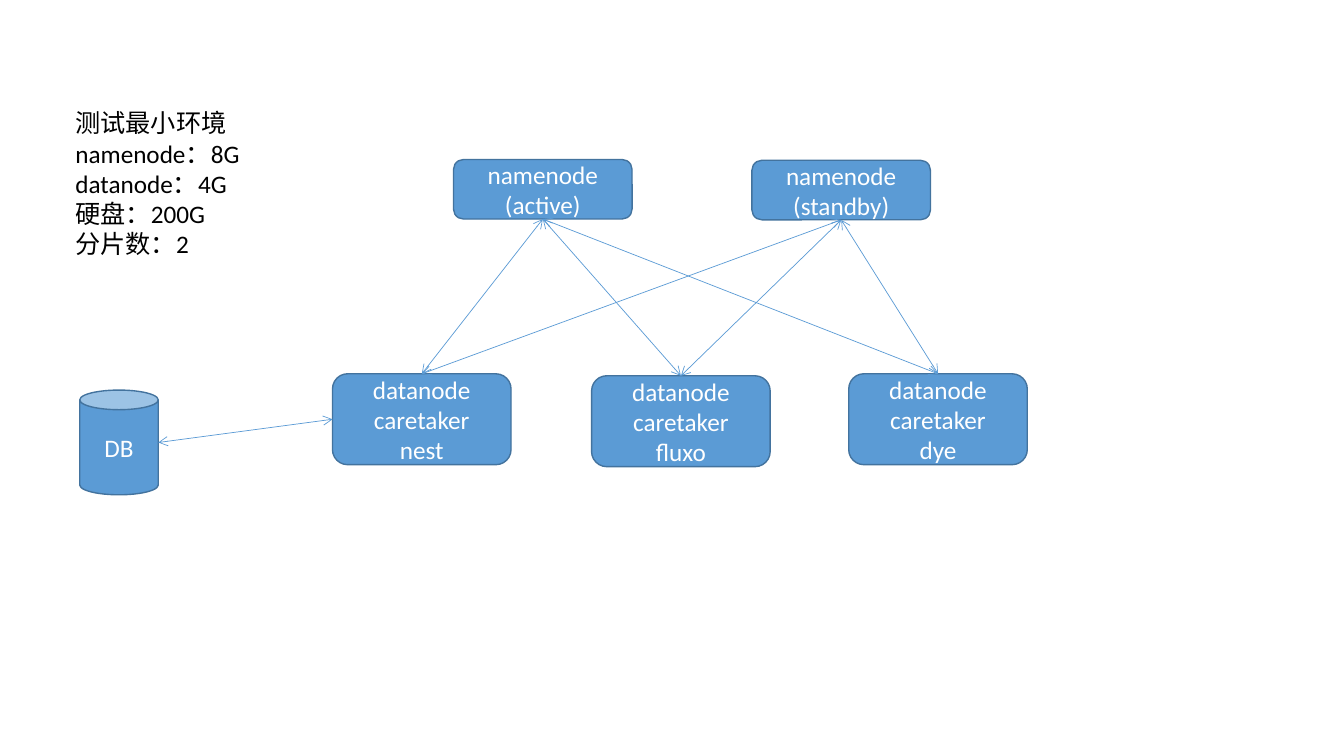
from dataclasses import dataclass

from lxml.etree import SubElement
from pptx import Presentation
from pptx.dml.color import RGBColor
from pptx.enum.shapes import MSO_CONNECTOR as Link, MSO_SHAPE as Form
from pptx.enum.text import MSO_ANCHOR as Anchor, MSO_AUTO_SIZE as Fit, PP_ALIGN as Align
from pptx.oxml.ns import qn
from pptx.util import Cm, Pt

TOP, LEFT, BOTTOM = 0, 1, 2


@dataclass(frozen=True)
class Theme:
    fill: RGBColor = RGBColor(0x5B, 0x9B, 0xD5)
    outline: RGBColor = RGBColor(0x43, 0x73, 0x9E)
    light: RGBColor = RGBColor(0xFF, 0xFF, 0xFF)
    dark: RGBColor = RGBColor(0, 0, 0)
    font: str = "Calibri"
    size: int = 18
    border: float = 1
    arrow: float = 0.5


def write(frame, lines, *, theme, color, align):
    for index, line in enumerate(lines):
        para = frame.add_paragraph() if index else frame.paragraphs[0]
        para.alignment = align
        span = para.add_run()
        span.text = line
        span.font.name = theme.font
        span.font.size = Pt(theme.size)
        span.font.color.rgb = color


class Diagram:
    def __init__(self, page, theme):
        self.page = page
        self.theme = theme

    def node(self, lines, left, top, width, height, form=Form.ROUNDED_RECTANGLE):
        box = self.page.shapes.add_shape(form, Cm(left), Cm(top), Cm(width), Cm(height))
        box.shadow.inherit = False
        box.fill.solid()
        box.fill.fore_color.rgb = self.theme.fill
        box.line.color.rgb = self.theme.outline
        box.line.width = Pt(self.theme.border)
        box.text_frame.word_wrap = True
        box.text_frame.vertical_anchor = Anchor.MIDDLE
        write(box.text_frame, lines, theme=self.theme,
              color=self.theme.light, align=Align.CENTER)
        return box

    def note(self, lines, left, top, width, height):
        box = self.page.shapes.add_textbox(Cm(left), Cm(top), Cm(width), Cm(height))
        box.text_frame.word_wrap = True
        box.text_frame.auto_size = Fit.SHAPE_TO_FIT_TEXT
        write(box.text_frame, lines, theme=self.theme,
              color=self.theme.dark, align=Align.LEFT)

    def arrow(self, start, start_site, end, end_site=None):
        middle = end.top + end.height // 2
        line = self.page.shapes.add_connector(
            Link.STRAIGHT, start.left, start.top, end.left + end.width, middle)
        line.begin_connect(start, start_site)
        if end_site is not None:
            line.end_connect(end, end_site)
        line.line.color.rgb = self.theme.fill
        line.line.width = Pt(self.theme.arrow)
        properties = line.line._get_or_add_ln()
        for tip in ("a:headEnd", "a:tailEnd"):
            SubElement(properties, qn(tip)).set("type", "arrow")
        SubElement(line._element.spPr, qn("a:effectLst"))


deck = Presentation()
deck.slide_width, deck.slide_height = Cm(33.87), Cm(19.05)
diagram = Diagram(deck.slides.add_slide(deck.slide_layouts[6]), Theme())

namenodes = [
    diagram.node(["namenode", f"({state})"], left, top, 4.5, 1.5)
    for state, left, top in [("active", 11.43, 4.02), ("standby", 18.95, 4.04)]
]
datanodes = [
    diagram.node(["datanode", "caretaker", service], left, top, 4.5, 2.29)
    for service, left, top in [
        ("nest", 8.38, 9.42), ("fluxo", 14.91, 9.47), ("dye", 21.39, 9.42)]
]
database = diagram.node(["DB"], 2.01, 9.83, 1.98, 2.64, form=Form.CAN)

diagram.note(
    ["测试最小环境", "namenode：8G", "datanode：4G", "硬盘：200G", "分片数：2"],
    1.65, 2.59, 4.65, 4.09)

for datanode in datanodes:
    for namenode in namenodes:
        diagram.arrow(datanode, TOP, namenode, BOTTOM)
diagram.arrow(datanodes[0], LEFT, database)

deck.save("out.pptx")
